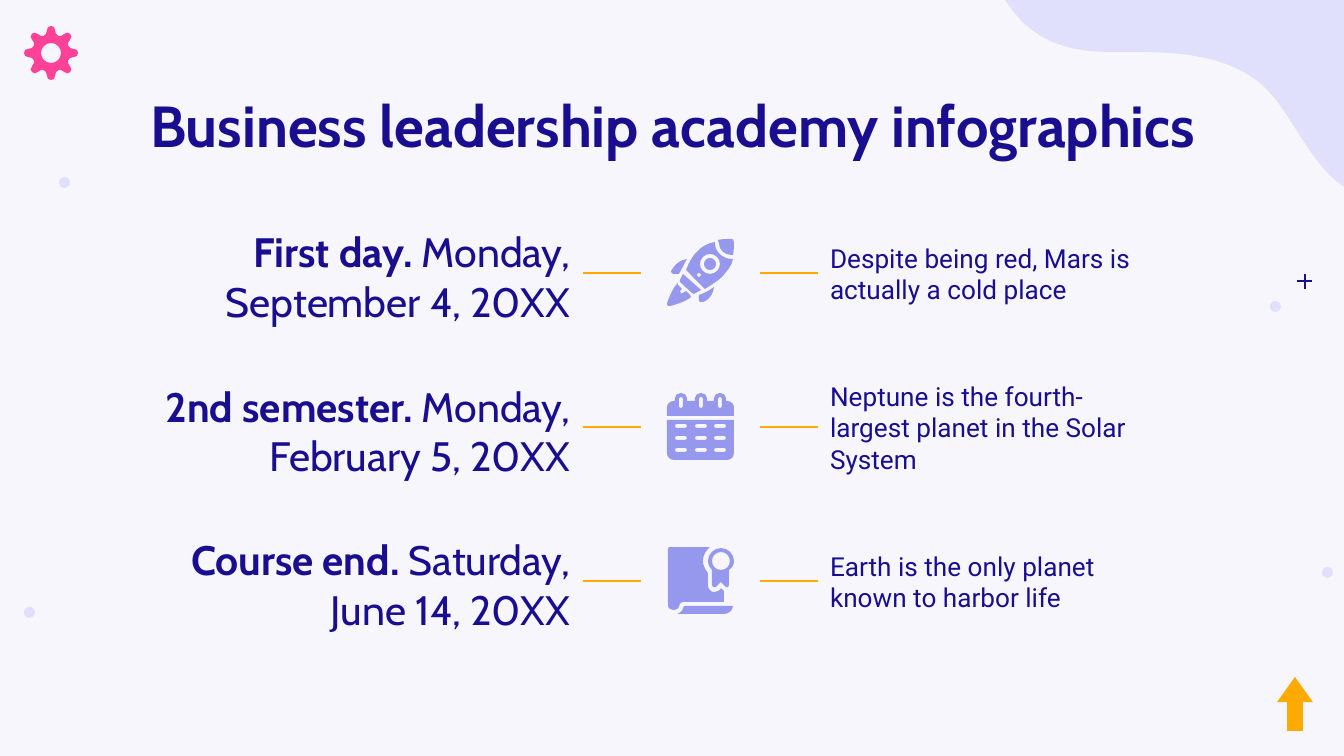
import math
from dataclasses import dataclass

import pptx
import pptx.dml.color
import pptx.enum.shapes
import pptx.enum.text
import pptx.oxml.ns
import pptx.util

SCALE = 914400 / 134.4  # EMU in one px
MSO_SHAPE = pptx.enum.shapes.MSO_SHAPE
ALIGN = pptx.enum.text.PP_ALIGN
ANCHOR = pptx.enum.text.MSO_ANCHOR
qn = pptx.oxml.ns.qn


@dataclass(frozen=True)
class Theme:
    background: str = "F6F6FC"
    ink: str = "1A0E90"
    pale: str = "E0E0FD"
    icon: str = "9698ED"
    pink: str = "FF4298"
    amber: str = "FFAA00"
    heading_font: str = "Cabin"
    body_font: str = "Roboto"
    title_size: int = 31
    date_size: int = 22
    note_size: int = 14


THEME = Theme()


def px(length):
    return pptx.util.Emu(round(length * SCALE))


def rgb(color):
    return pptx.dml.color.RGBColor.from_string(color)


def paint(shape, color):
    shape.shadow.inherit = False
    shape.fill.solid()
    shape.fill.fore_color.rgb = rgb(color)
    shape.line.fill.background()


# Outlines: a pair is a corner, six numbers are a cubic curve
def circle(left, top, size):
    r = size / 2
    x, y, k = left + r, top + r, 0.55 * r
    return [(x, y - r), (x + k, y - r, x + r, y - k, x + r, y),
            (x + r, y + k, x + k, y + r, x, y + r), (x - k, y + r, x - r, y + k, x - r, y),
            (x - r, y - k, x - k, y - r, x, y - r)]


def bar(left, top, width, height):
    """A bar with round ends."""
    if height > width:
        return [tuple(node[i ^ 1] for i in range(len(node)))
                for node in bar(top, left, height, width)]
    start, end, bottom = left + height / 2, left + width - height / 2, top + height
    bulge = 0.67 * height
    return [(start, top), (end, top), (end + bulge, top, end + bulge, bottom, end, bottom),
            (start, bottom), (start - bulge, bottom, start - bulge, top, start, top)]


def gear(center, teeth=8):
    def turn(tooth, *points):
        angle = 2 * math.pi * tooth / teeth
        cos, sin = math.cos(angle), math.sin(angle)
        return tuple(value for x, y in points
                     for value in (center + x * cos - y * sin, center + x * sin + y * cos))

    contour = [turn(0, (23, -4))]
    for tooth in range(teeth):
        contour += [turn(tooth, (25.5, -4), (27, -2.5), (27, 0)),
                    turn(tooth, (27, 2.5), (25.5, 4), (23, 4)),
                    turn(tooth, (17, 4)) + turn(tooth + 1, (17, -4), (23, -4))]
    return contour


def add_outline(shapes, left, top, contours, color):
    builder = None
    for contour in contours:
        first, *others = [(px(left + node[-2]), px(top + node[-1])) for node in contour]
        if builder is None:
            builder = shapes.build_freeform(*first, scale=1.0)
        else:
            builder.move_to(*first)
        builder.add_line_segments(others, close=True)
    outline = builder.convert_to_shape()
    paint(outline, color)
    # Bend the segments that have control points
    segments = list(outline._element.iter(qn("a:lnTo")))
    nodes = [node for contour in contours for node in contour[1:]]
    for segment, node in zip(segments, nodes):
        if len(node) == 2:
            continue
        curve = segment.makeelement(qn("a:cubicBezTo"), {})
        for x, y in (node[:2], node[2:4]):
            curve.append(segment.makeelement(qn("a:pt"), {
                "x": str(px(left + x) - outline.left), "y": str(px(top + y) - outline.top)}))
        curve.append(segment[0])
        segment.getparent().replace(segment, curve)


def add_line(shapes, x1, y1, x2, y2, color, weight):
    line = shapes.add_connector(pptx.enum.shapes.MSO_CONNECTOR.STRAIGHT,
                                px(x1), px(y1), px(x2), px(y2))
    line.line.color.rgb = rgb(color)
    line.line.width = pptx.util.Pt(weight)
    properties = line._element.spPr
    properties.append(properties.makeelement(qn("a:effectLst"), {}))


def write(frame, runs, font, size, align, anchor):
    frame.word_wrap = True
    frame.auto_size = pptx.enum.text.MSO_AUTO_SIZE.NONE
    frame.vertical_anchor = anchor
    frame.margin_left = frame.margin_right = frame.margin_top = frame.margin_bottom = px(13)
    paragraph = frame.paragraphs[0]
    paragraph.alignment = align
    for words, bold in runs:
        run = paragraph.add_run()
        run.text = words
        run.font.name, run.font.size, run.font.bold = font, pptx.util.Pt(size), bold
        run.font.color.rgb = rgb(THEME.ink)


# Icons: each part is a list of contours, the later ones being holes
ROCKET = [
    [[(51, 1), (52, 4), (52, 11, 58, 16, 64, 16), (66, 16), (67, 12, 67, 7, 67, 3),
      (67, 1, 66, 0, 65, 0), (60, 0, 55, 0, 51, 1)]],
    [circle(37, 19, 12)],
    [[(48, 3), (42, 4, 35, 7, 31, 12), (25, 17, 22, 24, 19, 31), (38, 50),
      (44, 46, 51, 42, 55, 38), (60, 32, 65, 27, 66, 20), (65, 20), (55, 20, 48, 12, 48, 4)],
     circle(33, 15, 20), circle(30, 34, 4)],
    [[(16, 35), (13, 41), (13, 43), (25, 54), (27, 55), (34, 51)]],
    [[(47, 48), (43, 51, 38, 54, 32, 56), (32, 59, 32, 61, 32, 62),
      (32, 63, 34, 63, 36, 63), (37, 63, 46, 59, 47, 48)]],
    [[(20, 20), (8, 22, 5, 32, 4, 32), (4, 34, 5, 35, 7, 35), (12, 35), (15, 30, 17, 25, 20, 20)]],
    [[(11, 44), (7, 47, 1, 60, 0, 65), (0, 66, 1, 68, 3, 67), (8, 66, 20, 62, 24, 58),
      (23, 56), (19, 52), (16, 54), (15, 56, 13, 54, 13, 52), (15, 50), (11, 46)]],
]

TAB_LEFTS = (8, 28, 47)
BINDING = [node for x in TAB_LEFTS for node in (
    (x, 8), (x, 5), (x, 2, x + 3, 0, x + 6, 0), (x + 9, 0, x + 12, 2, x + 12, 5), (x + 12, 8))]
CALENDAR = [
    [[(0, 27), (0, 60), (0, 64, 3, 67, 7, 67), (60, 67), (64, 67, 67, 64, 67, 60), (67, 27)],
     *[bar(x, y, 12, 4) for y in (31, 43, 55) for x in TAB_LEFTS]],
    [[(0, 23), (0, 14), (0, 11, 3, 8, 7, 8), *BINDING, (60, 8), (64, 8, 67, 11, 67, 14), (67, 23)],
     *[bar(x + 4, 4, 4, 11) for x in TAB_LEFTS]],
]

DIPLOMA = [
    [[(54, 1), (47, 1, 41, 7, 41, 14), (41, 18, 43, 21, 45, 23), (45, 38), (45, 40, 47, 41, 49, 40),
      (54, 35), (59, 40), (61, 41, 62, 40, 62, 38), (62, 23), (65, 21, 67, 18, 67, 14),
      (67, 7, 61, 1, 54, 1)], circle(45, 5, 18)],
    [[(17, 59), (16, 63, 14, 66, 10, 67), (57, 67), (61, 67, 66, 64, 66, 59)]],
    [[(3, 0), (1, 0, 1, 1, 1, 3), (1, 57), (1, 61, 3, 63, 6, 63), (11, 63, 13, 60, 13, 57),
      (13, 56, 15, 55, 16, 55), (57, 55), (57, 44), (54, 41), (53, 43), (51, 44, 49, 45, 47, 45),
      (44, 45, 41, 42, 41, 38), (41, 26), (38, 22, 36, 18, 36, 14), (36, 8, 39, 4, 43, 0)]],
]

MILESTONES = [
    ("First day. ", "Monday, September 4, 20XX",
     "Despite being red, Mars is actually a cold place", ROCKET),
    ("2nd semester. ", "Monday, February 5, 20XX",
     "Neptune is the fourth-largest planet in the Solar System", CALENDAR),
    ("Course end. ", "Saturday, June 14, 20XX",
     "Earth is the only planet known to harbor life", DIPLOMA),
]


def add_decoration(slide, width):
    shapes = slide.shapes
    add_outline(shapes, 24, 26, [gear(27), circle(17, 17, 20)], THEME.pink)
    # Corner wave
    add_outline(shapes, width - 339, 0, [[
        (0, 0), (25, 38, 57, 52, 105, 52), (155, 52, 210, 50, 251, 80),
        (285, 105, 300, 160, 339, 187), (339, 0)]], THEME.pale)
    for left, top in ((59, 177), (1322, 567), (1270, 301), (24, 607)):
        paint(shapes.add_shape(MSO_SHAPE.OVAL, px(left), px(top), px(11), px(11)), THEME.pale)
    # Up arrow
    arrow = shapes.add_shape(MSO_SHAPE.UP_ARROW, px(1277), px(677), px(36), px(54))
    arrow.adjustments[0], arrow.adjustments[1] = 0.44, 0.7
    paint(arrow, THEME.amber)
    # Plus sign
    plus = shapes.add_group_shape().shapes
    add_line(plus, 1297, 281, 1312, 281, THEME.ink, 0.78)
    add_line(plus, 1305, 289, 1305, 274, THEME.ink, 0.78)


def add_title(slide, left, top, width, height):
    title = slide.shapes.title
    title.left, title.top, title.width, title.height = px(left), px(top), px(width), px(height)
    write(title.text_frame, [("Business leadership academy infographics", True)],
          THEME.heading_font, THEME.title_size, ALIGN.CENTER, ANCHOR.TOP)
    title.text_frame.paragraphs[0].line_spacing = 1.15


def add_milestone(slide, left, top, label, day, note, icon):
    shapes = slide.shapes
    date_box = shapes.add_textbox(px(left), px(top), px(445), px(118))
    write(date_box.text_frame, [(label, True), (day, False)],
          THEME.heading_font, THEME.date_size, ALIGN.RIGHT, ANCHOR.TOP)
    note_box = shapes.add_textbox(px(left + 679), px(top + 13), px(359), px(93))
    write(note_box.text_frame, [(note, False)],
          THEME.body_font, THEME.note_size, ALIGN.LEFT, ANCHOR.MIDDLE)
    # Links on both sides of the icon
    for start in (left + 445, left + 622):
        add_line(shapes, start, top + 59, start + 58, top + 59, THEME.amber, 1.5)
    icon_shapes = shapes.add_group_shape().shapes
    for contours in icon:
        add_outline(icon_shapes, left + 529, top + 25, contours, THEME.icon)


def main():
    deck = pptx.Presentation()
    deck.slide_width, deck.slide_height = px(1344), px(756)
    slide = deck.slides.add_slide(deck.slide_layouts[5])
    slide.background.fill.solid()
    slide.background.fill.fore_color.rgb = rgb(THEME.background)
    add_decoration(slide, 1344)
    add_title(slide, 106, 66, 1133, 85)
    for index, milestone in enumerate(MILESTONES):
        add_milestone(slide, 138, 214 + 154 * index, *milestone)
    deck.save("out.pptx")


if __name__ == "__main__":
    main()
